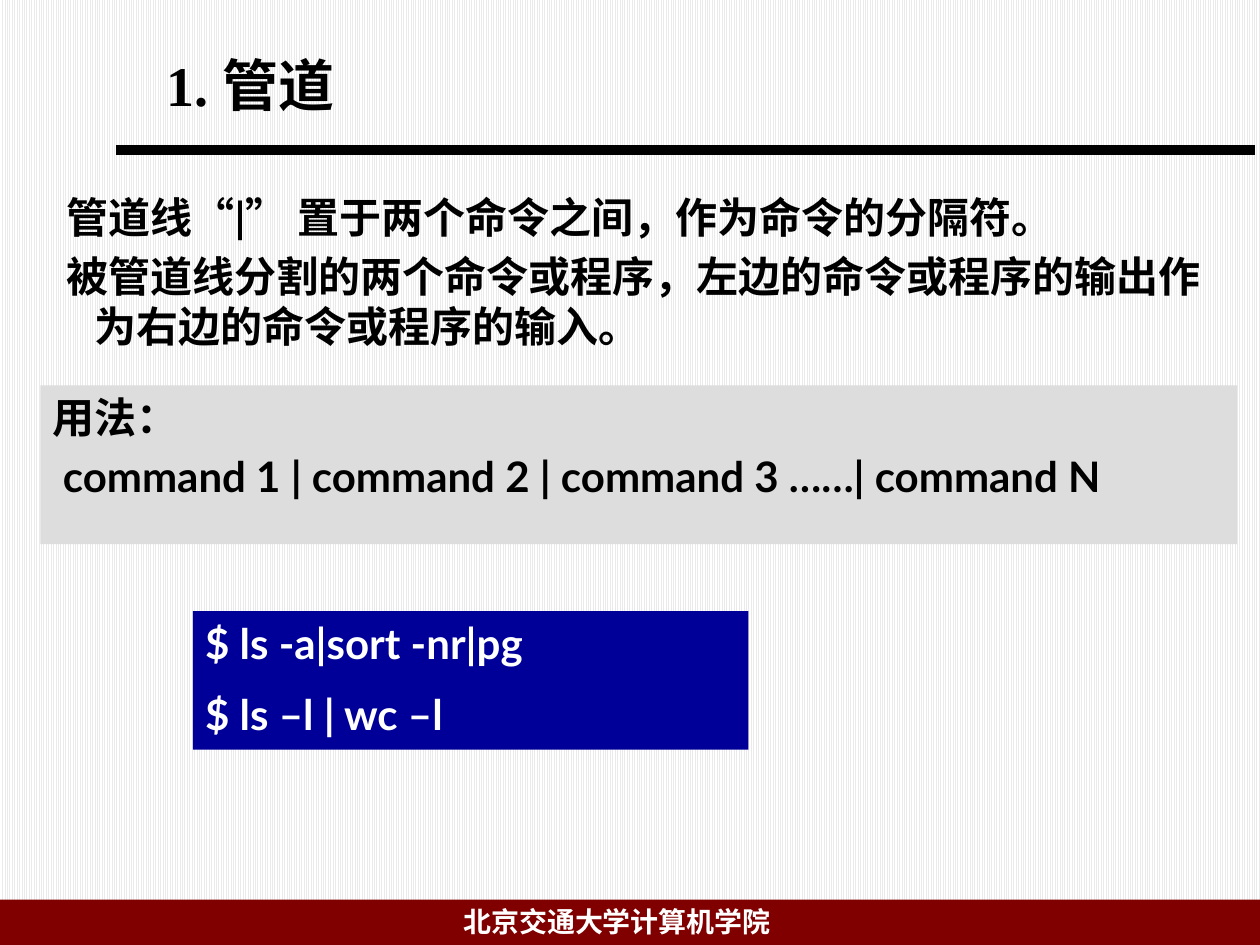
from lxml import etree
from pptx import Presentation
from pptx.dml.color import RGBColor
from pptx.enum import dml, shapes, text
from pptx.oxml import ns
from pptx.util import Inches, Pt

BLACK = RGBColor(0x00, 0x00, 0x00)
WHITE = RGBColor(0xFF, 0xFF, 0xFF)
STRIPE = RGBColor(0xEA, 0xEA, 0xEA)
MAROON = RGBColor(0x80, 0x00, 0x00)
GRAY = RGBColor(0xDD, 0xDD, 0xDD)
NAVY = RGBColor(0x00, 0x00, 0x99)
SERIF, SANS = "Times New Roman", "Lato"
TOP, MIDDLE = text.MSO_ANCHOR.TOP, text.MSO_ANCHOR.MIDDLE

deck = Presentation()
deck.slide_width, deck.slide_height = Inches(10), Inches(7.5)
slide = deck.slides.add_slide(deck.slide_layouts[6])

back = slide.background.fill
back.patterned()
back.pattern = dml.MSO_PATTERN.LIGHT_VERTICAL
back.fore_color.rgb = STRIPE
back.back_color.rgb = WHITE


def add_text(lines, box, fill=None, font=SANS, size=24, color=BLACK,
             gap=5, left=0, hang=0, anchor=TOP, wrap=True):
    area = [Inches(v) for v in box]
    if fill is None:
        item = slide.shapes.add_textbox(*area)
    else:
        item = slide.shapes.add_shape(shapes.MSO_SHAPE.RECTANGLE, *area)
        item.shadow.inherit = False
        item.fill.solid()
        item.fill.fore_color.rgb = fill
        item.line.fill.background()
    frame = item.text_frame
    frame.word_wrap = wrap
    frame.vertical_anchor = anchor
    for i, line in enumerate(lines):
        para = frame.add_paragraph() if i else frame.paragraphs[0]
        para.alignment = text.PP_ALIGN.LEFT
        para.space_before = Pt(gap if i else 0)
        props = para._p.get_or_add_pPr()
        props.set("marL", str(Inches(left)))
        props.set("indent", str(Inches(-hang)))
        run = para.add_run()
        run.text = line
        run.font.name = font
        run.font.size = Pt(size)
        run.font.bold = True
        run.font.color.rgb = color


add_text([], (0, 7.14, 10, 0.36), fill=MAROON)

rule = slide.shapes.add_connector(
    shapes.MSO_CONNECTOR.STRAIGHT,
    Inches(0.92), Inches(1.19), Inches(9.96), Inches(1.19))
rule.line.color.rgb = BLACK
rule.line.width = Pt(6)
etree.SubElement(rule._element.spPr, ns.qn("a:effectLst"))

add_text(["北京交通大学计算机学院"], (3.58, 7.13, 3.32, 0.37),
         font=SERIF, size=16, color=WHITE, wrap=False)
add_text(["1. 管道"], (1.22, 0.28, 2.77, 0.77),
         font=SERIF, size=32, anchor=MIDDLE)
add_text(["管道线“|” 置于两个命令之间，作为命令的分隔符。",
          "被管道线分割的两个命令或程序，左边的命令或程序的输出作为右边的命令或程序的输入。"],
         (0.27, 1.47, 9.5, 1.42), left=0.38, hang=0.22)
add_text(["用法：", " command 1 | command 2 | command 3 ……| command N"],
         (0.32, 3.06, 9.5, 1.26), fill=GRAY, left=0.38, hang=0.38)
add_text(["$ ls -a|sort -nr|pg", "$ ls –l | wc –l"],
         (1.53, 4.85, 4.41, 1.1), fill=NAVY, color=WHITE, gap=12)

deck.save("out.pptx")
